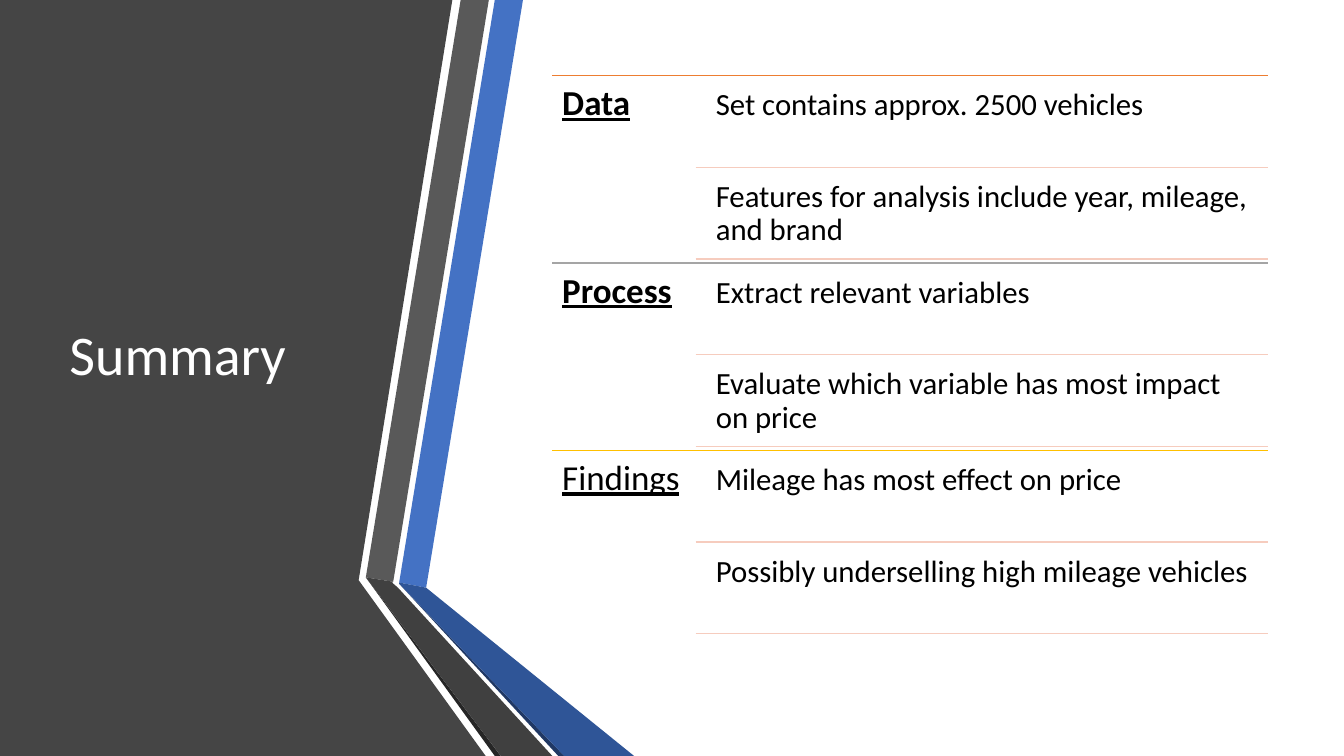
from pptx import Presentation
from pptx.dml.color import RGBColor
from pptx.enum.shapes import MSO_CONNECTOR
from pptx.enum.text import MSO_ANCHOR, MSO_AUTO_SIZE, PP_ALIGN
from pptx.oxml.ns import qn
from pptx.util import Cm, Pt
from lxml import etree

STRAIGHT = MSO_CONNECTOR.STRAIGHT
TOP, MIDDLE = MSO_ANCHOR.TOP, MSO_ANCHOR.MIDDLE
NO_FIT = MSO_AUTO_SIZE.NONE
LEFT = PP_ALIGN.LEFT

TITLE = {"name": "Calibri", "size": Pt(40), "bold": False}
HEADING = {"name": "Calibri", "size": Pt(25), "bold": True, "underline": True}
LIGHT_HEADING = {**HEADING, "bold": False}
ITEM = {"name": "Calibri", "size": Pt(22)}

H = 19.05
PANELS = [
    ("454545", [(0, 0), (11.4, 0), (9.04, 14.62), (12.24, H), (0, H)]),
    ("4472C4", [(10.06, 14.68), (10.74, 14.81), (13.18, 0), (12.47, 0)]),
    ("595959", [(12.32, 0), (11.61, 0), (9.22, 14.55), (9.91, 14.66)]),
    ("262626", [(9.22, 14.55), (12.47, H), (12.62, H)]),
    ("203864", [(10.06, 14.71), (14.07, H), (14.22, H)]),
    ("2F5597", [(10.06, 14.68), (10.06, 14.71), (14.22, H), (15.98, H),
                (10.74, 14.81)]),
    ("404040", [(13.92, H), (10.03, 14.81), (9.88, 14.68), (9.91, 14.66),
                (9.22, 14.55), (12.62, H)]),
]
SECTIONS = [
    ("Data", HEADING, "ED7D31",
     ["Set contains approx. 2500 vehicles",
      "Features for analysis include year, mileage, and brand"]),
    ("Process", HEADING, "A5A5A5",
     ["Extract relevant variables",
      "Evaluate which variable has most impact on price"]),
    ("Findings", LIGHT_HEADING, "FFC000",
     ["Mileage has most effect on price",
      "Possibly underselling high mileage vehicles"]),
]
SECTION_X, SECTION_Y, SECTION_H = 13.92, 1.91, 4.72
ITEM_LINE_X, ITEM_X, ITEM_STEP = 17.53, 17.81, 2.31
ITEM_GAP, RIGHT = 0.11, 31.95


def paint(color_format, color):
    color_format.rgb = RGBColor.from_string(color)


def add_panel(s, color, points):
    corners = [(Cm(x), Cm(y)) for x, y in points]
    builder = s.shapes.build_freeform(*corners[0], scale=1.0)
    builder.add_line_segments(corners[1:], close=True)
    sp = builder.convert_to_shape()
    sp.shadow.inherit = False
    sp.fill.solid()
    paint(sp.fill.fore_color, color)
    sp.line.fill.background()


def add_rule(s, x, y, color):
    line = s.shapes.add_connector(STRAIGHT, Cm(x), Cm(y), Cm(RIGHT), Cm(y))
    line.line.width = Pt(1)
    paint(line.line.color, color)
    etree.SubElement(line._element.spPr, qn("a:effectLst"))


def write_text(sp, text, fmt, color, anchor, inset):
    tf = sp.text_frame
    tf.word_wrap = True
    tf.auto_size = NO_FIT
    tf.vertical_anchor = anchor
    for side in ("left", "top", "right", "bottom"):
        setattr(tf, f"margin_{side}", Cm(inset))
    p = tf.paragraphs[0]
    p.alignment = LEFT
    p.line_spacing = 0.9
    r = p.add_run()
    r.text = text
    for key, value in fmt.items():
        setattr(r.font, key, value)
    paint(r.font.color, color)


def add_text(s, x, y, w, h, text, fmt, inset):
    sp = s.shapes.add_textbox(Cm(x), Cm(y), Cm(w), Cm(h))
    write_text(sp, text, fmt, "000000", TOP, inset)


def add_title(s, text):
    sp = s.shapes.title
    sp.left, sp.top, sp.width, sp.height = Cm(1.5), Cm(1.91), Cm(7.72), Cm(14.17)
    write_text(sp, text, TITLE, "FFFFFF", MIDDLE, 0.25)
    s.shapes._spTree.append(sp._element)


def add_section(s, y, heading, fmt, color, items):
    add_rule(s, SECTION_X, y, color)
    add_text(s, SECTION_X, y, ITEM_LINE_X - SECTION_X, SECTION_H, heading, fmt, 0.25)
    for i, item in enumerate(items):
        item_y = y + i * ITEM_STEP
        add_text(s, ITEM_X, item_y + ITEM_GAP, RIGHT - ITEM_X,
                 ITEM_STEP - ITEM_GAP, item, ITEM, 0.23)
        add_rule(s, ITEM_LINE_X, item_y + ITEM_STEP, "F6CCBE")


def main():
    prs = Presentation()
    prs.slide_width, prs.slide_height = Cm(33.87), Cm(H)
    s = prs.slides.add_slide(prs.slide_layouts[5])
    for color, points in PANELS:
        add_panel(s, color, points)
    add_title(s, "Summary")
    for i, section in enumerate(SECTIONS):
        add_section(s, SECTION_Y + i * SECTION_H, *section)
    prs.save("out.pptx")


if __name__ == "__main__":
    main()
